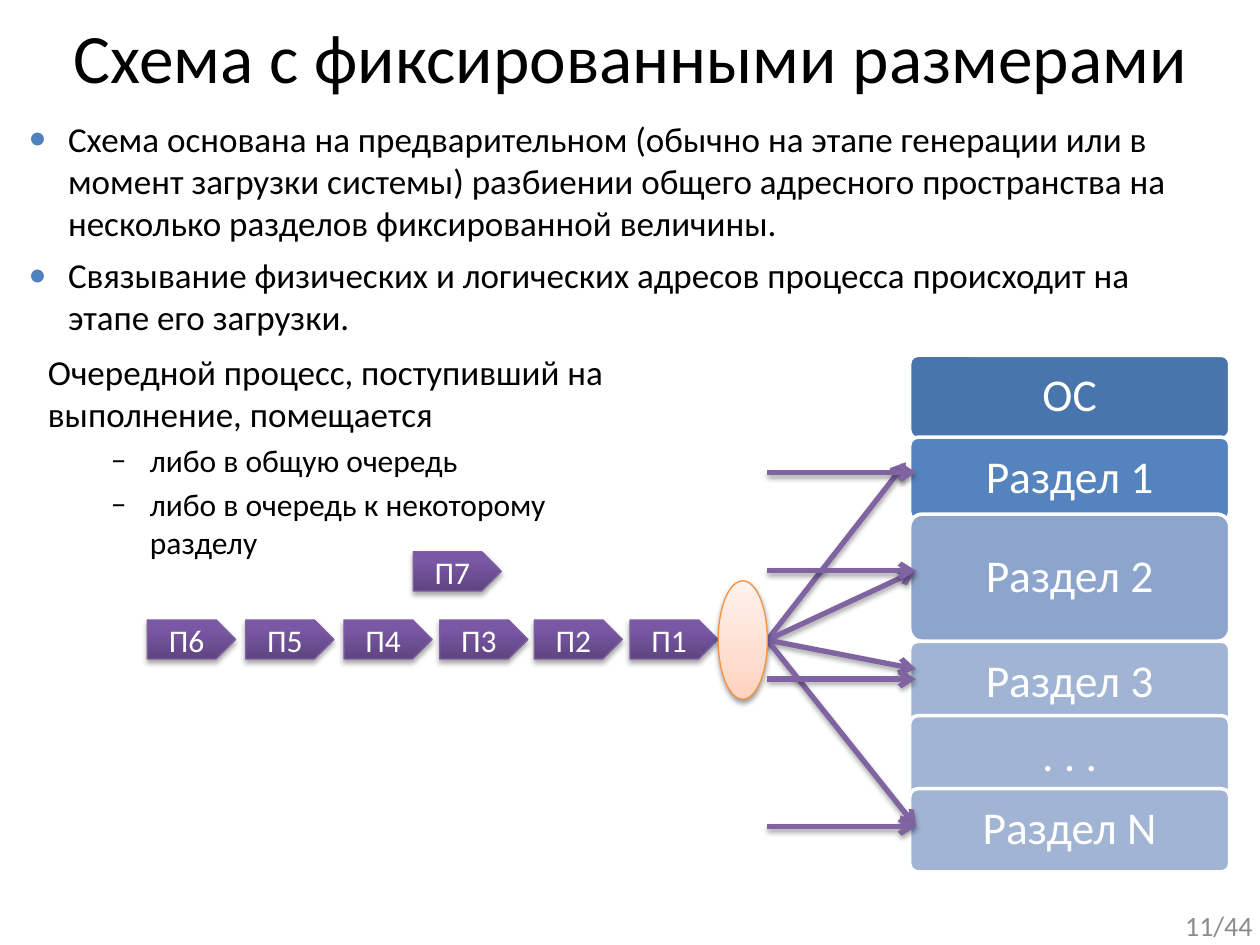
"""Build a slide on memory partitions of fixed size."""
from lxml import etree
from pptx import Presentation
from pptx import util as u
from pptx.dml.color import RGBColor
from pptx.enum import shapes, text
from pptx.oxml.ns import nsdecls, qn

FONT = "Calibri"
BLACK = RGBColor(0x00, 0x00, 0x00)
WHITE = RGBColor(0xFF, 0xFF, 0xFF)
GRAY = RGBColor(0x8C, 0x8C, 0x8C)
BULLET_BLUE = RGBColor(0x4F, 0x81, 0xBD)
SYSTEM_BLUE = RGBColor(0x48, 0x75, 0xAC)
FIRST_BLUE = RGBColor(0x54, 0x83, 0xBE)
SECOND_BLUE = RGBColor(0x8D, 0xA5, 0xCC)
PALE_BLUE = RGBColor(0xA1, 0xB4, 0xD4)
ARROW_PURPLE = RGBColor(0x80, 0x64, 0xA2)
EDGE_PURPLE = RGBColor(0x7D, 0x60, 0xA0)
EDGE_ORANGE = RGBColor(0xF6, 0x92, 0x40)
PURPLE_STOPS = [
    (0, RGBColor(0x5F, 0x44, 0x80)),
    (80, RGBColor(0x7B, 0x58, 0xA6)),
    (100, RGBColor(0x7C, 0x57, 0xA8)),
]
PEACH_STOPS = [
    (0, RGBColor(0xFF, 0xD2, 0xBD)),
    (35, RGBColor(0xFF, 0xDE, 0xD0)),
    (100, RGBColor(0xFF, 0xF2, 0xED)),
]

SCHEME = [
    "Схема основана на предварительном (обычно на этапе генерации или в момент загрузки "
    "системы) разбиении общего адресного пространства на несколько разделов "
    "фиксированной величины.",
    "Связывание физических и логических адресов процесса происходит на этапе его загрузки.",
]
INTRO = "Очередной процесс, поступивший на выполнение, помещается"
CHOICES = ["либо в общую очередь", "либо в очередь к некоторому \vразделу"]
SECTIONS = [
    ("ОС", 2.82, 0.66, SYSTEM_BLUE),
    ("Раздел 1", 3.47, 0.66, FIRST_BLUE),
    ("Раздел 2", 4.08, 1.01, SECOND_BLUE),
    ("Раздел 3", 5.09, 0.66, PALE_BLUE),
    (". . .", 5.68, 0.66, PALE_BLUE),
    ("Раздел N", 6.26, 0.66, PALE_BLUE),
]
QUEUE_LEFTS = [5, 4.24, 3.49, 2.73, 1.95, 1.17]
FAN_ENDS = [(7.19, 3.67), (7.27, 4.53), (7.27, 5.31), (7.27, 6.56)]
DIRECT_TOPS = [3.75, 4.53, 5.39, 6.56]


def place(box, left, top, width, height):
    """Move and size a box in inches."""
    box.left, box.top = u.Inches(left), u.Inches(top)
    box.width, box.height = u.Inches(width), u.Inches(height)


def style(paragraph, size, color, alignment=text.PP_ALIGN.LEFT):
    """Format the runs of a paragraph."""
    paragraph.alignment = alignment
    for span in paragraph.runs:
        span.font.size = u.Pt(size)
        span.font.name = FONT
        span.font.color.rgb = color


def set_bullet(paragraph, margin, indent, char=None, color=None, percent=100):
    """Give a paragraph its indents and its bullet, or no bullet."""
    props = paragraph._p.get_or_add_pPr()
    props.set("marL", str(u.Inches(margin)))
    props.set("indent", str(u.Inches(indent)))
    if color is not None:
        holder = etree.SubElement(props, qn("a:buClr"))
        etree.SubElement(holder, qn("a:srgbClr"), val=str(color))
    if char is None:
        etree.SubElement(props, qn("a:buNone"))
        return
    etree.SubElement(props, qn("a:buSzPct"), val=str(percent * 1000))
    etree.SubElement(props, qn("a:buFont"), typeface=FONT)
    etree.SubElement(props, qn("a:buChar"), char=char)


def fill_list(box, lines):
    """Put lines in a list box and return its paragraphs."""
    frame = box.text_frame
    frame.text = "\n".join(lines)
    frame.word_wrap = True
    frame.auto_size = text.MSO_AUTO_SIZE.NONE
    frame.vertical_anchor = text.MSO_ANCHOR.TOP
    return frame.paragraphs


def add_title(page):
    """Fill the title placeholder."""
    box = page.shapes.title
    place(box, 0.28, 0.06, 9.45, 1.25)
    paragraph = fill_list(box, ["Схема с фиксированными размерами"])[0]
    style(paragraph, 39.6, BLACK, text.PP_ALIGN.CENTER)


def add_scheme(box):
    """Fill the upper list."""
    place(box, 0.04, 0.88, 9.69, 1.41)
    for paragraph in fill_list(box, SCHEME):
        style(paragraph, 20, BLACK)
        paragraph.space_before = u.Pt(6)
        set_bullet(paragraph, 0.4, -0.31, "●", BULLET_BLUE, 80)


def add_choices(box):
    """Fill the lower list."""
    place(box, 0.28, 2.73, 5.43, 4.17)
    intro, *choices = fill_list(box, [INTRO] + CHOICES)
    style(intro, 20, BLACK)
    intro.space_before = u.Pt(4)
    set_bullet(intro, 0, 0)
    for paragraph in choices:
        paragraph.level = 1
        style(paragraph, 18, BLACK)
        paragraph.space_before = u.Pt(3.6)
        set_bullet(paragraph, 0.81, -0.31, "–")


def add_shadow(item, opacity=35, distance=1.8):
    """Cast a soft shadow downwards."""
    item._element.spPr.append(etree.fromstring(
        f'<a:effectLst {nsdecls("a")}><a:outerShdw blurRad="{u.Pt(3.1)}" '
        f'dist="{u.Pt(distance)}" dir="5400000" rotWithShape="0"><a:srgbClr val="000000">'
        f'<a:alpha val="{opacity * 1000}"/></a:srgbClr></a:outerShdw></a:effectLst>'))


def add_gradient_shape(page, kind, bounds, stops, edge):
    """Add a shape filled with a gradient that rises from its bottom."""
    box = page.shapes.add_shape(kind, *map(u.Inches, bounds))
    marks = "".join(
        f'<a:gs pos="{position * 1000}"><a:srgbClr val="{color}"/></a:gs>'
        for position, color in stops)
    box._element.spPr.append(etree.fromstring(
        f'<a:gradFill {nsdecls("a")} rotWithShape="1"><a:gsLst>{marks}</a:gsLst>'
        '<a:lin ang="16200000" scaled="0"/></a:gradFill>'))
    box.line.color.rgb = edge
    box.line.width = u.Pt(0.75)
    return box


def add_label(box, label, size):
    """Write centred white text in a shape."""
    frame = box.text_frame
    frame.text = label
    frame.vertical_anchor = text.MSO_ANCHOR.MIDDLE
    style(frame.paragraphs[0], size, WHITE, text.PP_ALIGN.CENTER)


def add_process(page, number, left, top):
    """Add one process of the queue."""
    box = add_gradient_shape(page, shapes.MSO_SHAPE.PENTAGON, (left, top, 0.7, 0.31),
                             PURPLE_STOPS, EDGE_PURPLE)
    add_shadow(box)
    add_label(box, f"П{number}", 18)


def add_section(page, label, top, height, color):
    """Add one section of memory."""
    box = page.shapes.add_shape(shapes.MSO_SHAPE.ROUNDED_RECTANGLE, u.Inches(7.22),
                                u.Inches(top), u.Inches(2.54), u.Inches(height))
    box.adjustments[0] = 0.1
    box.shadow.inherit = False
    box.fill.solid()
    box.fill.fore_color.rgb = color
    box.line.color.rgb = WHITE
    box.line.width = u.Pt(2)
    add_label(box, label, 26)
    box.text_frame.paragraphs[0].line_spacing = 0.9


def add_arrow(page, start, end):
    """Add an arrow from the queue to a section."""
    arrow = page.shapes.add_connector(shapes.MSO_CONNECTOR.STRAIGHT,
                                      *map(u.Inches, start + end))
    arrow.line.color.rgb = ARROW_PURPLE
    arrow.line.width = u.Pt(3)
    etree.SubElement(arrow.line._get_or_add_ln(), qn("a:tailEnd"), type="arrow")
    add_shadow(arrow)


def add_page_number(page):
    """Add the page number in the corner."""
    box = page.shapes.add_textbox(*map(u.Inches, (7.71, 7.14, 2.33, 0.4)))
    paragraph = fill_list(box, ["11/44"])[0]
    box.text_frame.vertical_anchor = text.MSO_ANCHOR.MIDDLE
    style(paragraph, 16, GRAY, text.PP_ALIGN.RIGHT)


def main():
    """Build and save the deck."""
    deck = Presentation()
    deck.slide_width, deck.slide_height = u.Inches(10), u.Inches(7.5)
    page = deck.slides.add_slide(deck.slide_layouts.get_by_name("Two Content"))
    add_title(page)
    add_scheme(page.placeholders[1])
    add_choices(page.placeholders[2])
    for section in SECTIONS:
        add_section(page, *section)
    for number, left in enumerate(QUEUE_LEFTS, 1):
        add_process(page, number, left, 4.92)
    for end in FAN_ENDS:
        add_arrow(page, (6.09, 5.08), end)
    gate = add_gradient_shape(page, shapes.MSO_SHAPE.OVAL, (5.7, 4.61, 0.39, 0.94),
                              PEACH_STOPS, EDGE_ORANGE)
    add_shadow(gate, 38, 1.6)
    for top in DIRECT_TOPS:
        add_arrow(page, (6.09, top), (7.27, top))
    add_process(page, 7, 3.28, 4.38)
    add_page_number(page)
    deck.save("out.pptx")


if __name__ == "__main__":
    main()
